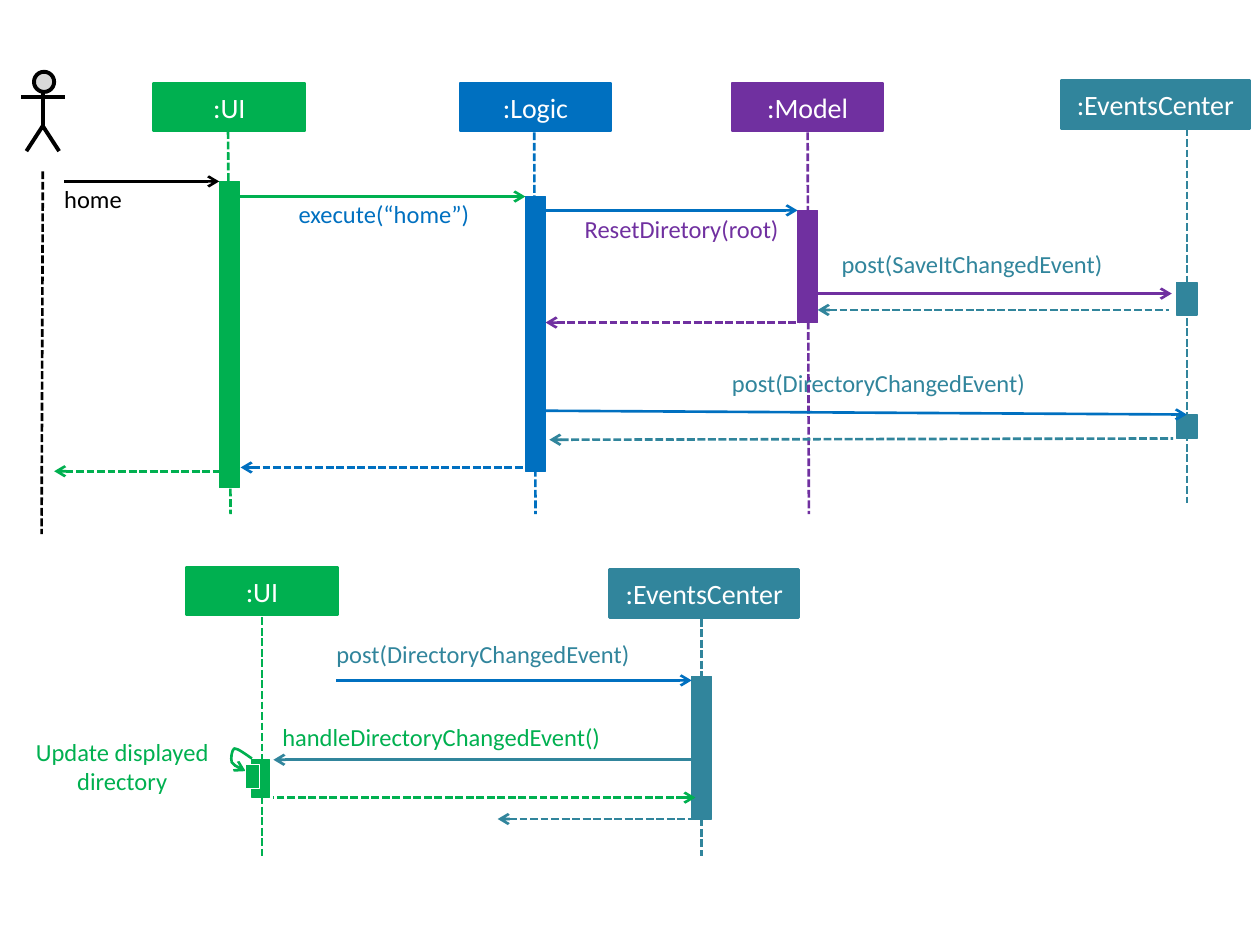
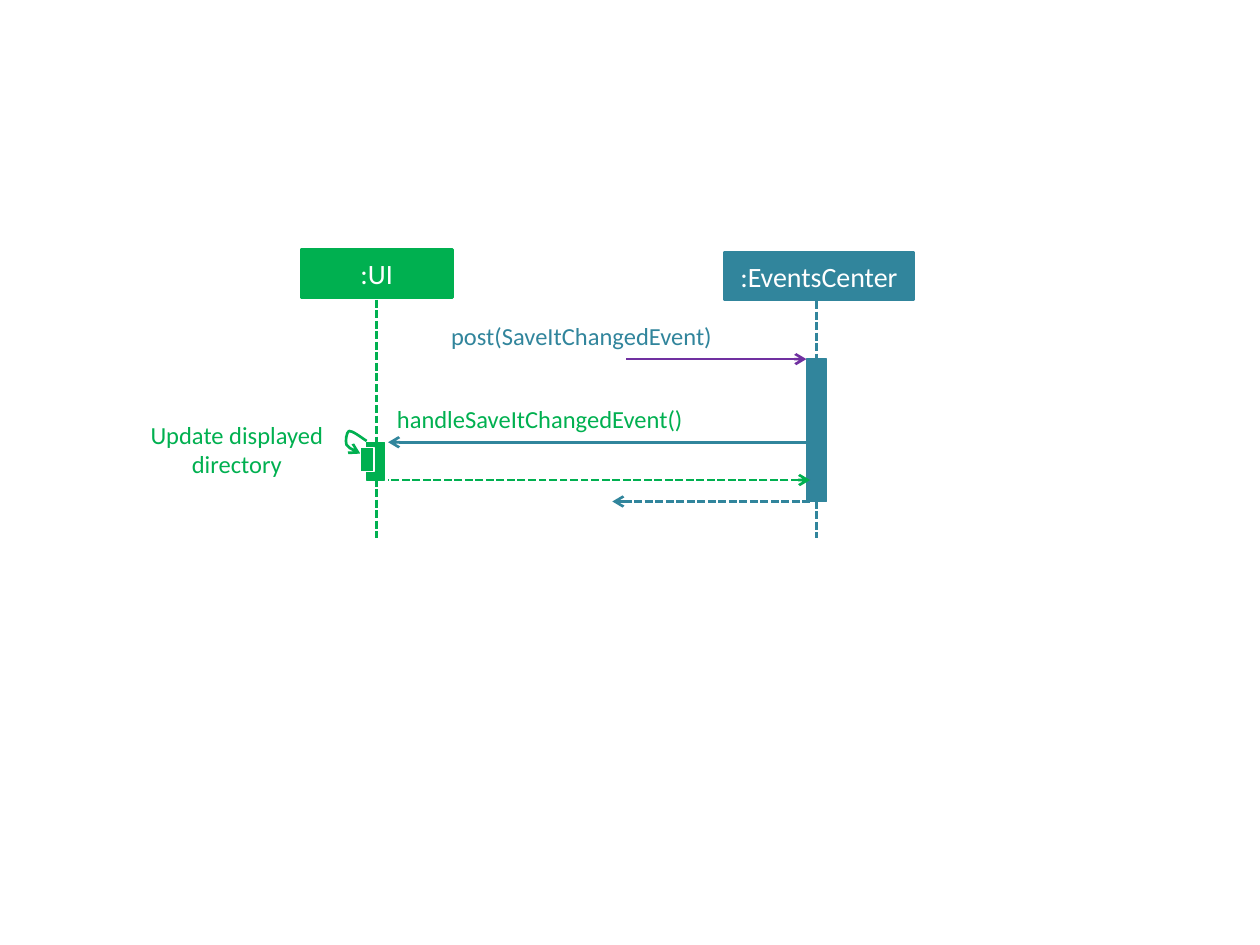
"""Build two slides of sequence diagrams for the home command and its events."""
import pptx
import pptx.dml.color
import pptx.enum.dml
import pptx.enum.shapes
import pptx.enum.text
import pptx.oxml.ns
import pptx.util
from lxml import etree
from pptx.util import Inches

SHAPE = pptx.enum.shapes.MSO_SHAPE
ALIGN = pptx.enum.text.PP_ALIGN
GREEN, BLUE, PURPLE, TEAL = "00B050", "0070C0", "7030A0", "31859C"
BLACK, GREY, WHITE = "000000", "D9D9D9", "FFFFFF"
FONT = "Calibri"
BOX_HEIGHT = 0.38
BAR_WIDTH = 0.16


def rgb(colour):
    """Turn a hex string into a colour."""
    return pptx.dml.color.RGBColor.from_string(colour)


def set_values(target, values):
    """Set every attribute named in a dict."""
    for name, value in values.items():
        setattr(target, name, value)


def add_xml(parent, tag, **attributes):
    """Append a drawing element to a parent element."""
    return etree.SubElement(parent, pptx.oxml.ns.qn(tag), attributes)


def style_line(line, colour, width):
    """Give a line its colour and its width in points."""
    line.color.rgb = rgb(colour)
    line.width = pptx.util.Pt(width)


def write(shape, text, colour, size, alignment, frame_values):
    """Fill a shape with one formatted paragraph."""
    frame = shape.text_frame
    set_values(frame, frame_values)
    paragraph = frame.paragraphs[0]
    paragraph.alignment = alignment
    run = paragraph.add_run()
    run.text = text
    set_values(run.font, {"name": FONT, "size": pptx.util.Pt(size)})
    run.font.color.rgb = rgb(colour)


def add_block(shapes, position, size, colour, outline=None, width=0.75, kind=SHAPE.RECTANGLE):
    """Add a filled shape without a shadow."""
    shape = shapes.add_shape(kind, *map(Inches, position + size))
    shape.shadow.inherit = False
    shape.fill.solid()
    shape.fill.fore_color.rgb = rgb(colour)
    style_line(shape.line, outline or colour, width)
    return shape


def add_line(shapes, colour, start, end, width=1.5, dashed=False, arrow=None):
    """Add a straight line, with an arrowhead if arrow names an end."""
    connector = shapes.add_connector(
        pptx.enum.shapes.MSO_CONNECTOR.STRAIGHT, *map(Inches, start + end))
    style_line(connector.line, colour, width)
    if dashed:
        connector.line.dash_style = pptx.enum.dml.MSO_LINE.SQUARE_DOT
    properties = connector._element.spPr
    if arrow:
        add_xml(properties.find(pptx.oxml.ns.qn("a:ln")), arrow, type="arrow")
    add_xml(properties, "a:effectLst")


def add_call(shapes, colour, start, end):
    """Add a solid message arrow pointing at its end."""
    add_line(shapes, colour, start, end, arrow="a:tailEnd")


def add_reply(shapes, colour, target, source):
    """Add a dashed return arrow pointing back at its target."""
    add_line(shapes, colour, target, source, dashed=True, arrow="a:headEnd")


def add_label(shapes, text, colour, position, width, height=0.24, alignment=ALIGN.LEFT):
    """Add a message label without margins."""
    label = shapes.add_textbox(*map(Inches, position + (width, height)))
    write(label, text, colour, 14, alignment, {
        "word_wrap": True, "margin_left": 0, "margin_right": 0,
        "margin_top": 0, "margin_bottom": 0,
        "auto_size": pptx.enum.text.MSO_AUTO_SIZE.SHAPE_TO_FIT_TEXT})


def add_participant(shapes, name, colour, position, width, lifeline, bars):
    """Add a named box, its lifeline and its activation bars."""
    box = add_block(shapes, position, (width, BOX_HEIGHT), colour, width=1.5)
    write(box, name, WHITE, 16, ALIGN.CENTER,
          {"vertical_anchor": pptx.enum.text.MSO_ANCHOR.MIDDLE})
    add_line(shapes, colour, *lifeline, dashed=True)
    for left, top, bar_width, height in bars:
        add_block(shapes, (left, top), (bar_width, height), colour)


def add_outline(shapes, points, colour, width):
    """Add an open, unfilled outline through the points."""
    corners = [(Inches(across), Inches(down)) for across, down in points]
    builder = shapes.build_freeform(*corners[0])
    builder.add_line_segments(corners[1:], close=False)
    shape = builder.convert_to_shape()
    shape.shadow.inherit = False
    shape.fill.background()
    style_line(shape.line, colour, width)
    return shape


def add_curved_arrow(shapes, points, colour):
    """Add a cubic curve with an arrowhead at its first point."""
    shape = add_outline(shapes, points, colour, 1.5)
    properties = shape._element.spPr
    segments = list(properties.iter(pptx.oxml.ns.qn("a:lnTo")))
    outline = segments[0].getparent()
    for first in range(0, len(segments), 3):
        curve = add_xml(outline, "a:cubicBezTo")
        for segment in segments[first:first + 3]:
            curve.append(segment[0])
            outline.remove(segment)
    add_xml(properties.find(pptx.oxml.ns.qn("a:ln")), "a:headEnd", type="arrow")


def add_actor(slide):
    """Add the stick figure and its lifeline."""
    shapes = slide.shapes.add_group_shape().shapes
    add_block(shapes, (0.27, 0.57), (0.16, 0.16), GREY, BLACK, 2.25,
              SHAPE.FLOWCHART_CONNECTOR)
    add_line(shapes, BLACK, (0.34, 0.73), (0.34, 1.01), 2.25)
    add_outline(shapes, [(0.21, 1.2), (0.34, 1), (0.47, 1.2)], BLACK, 2.25)
    add_line(shapes, BLACK, (0.17, 0.77), (0.52, 0.77), 2.25)
    add_line(slide.shapes, BLACK, (0.34, 1.36), (0.33, 4.24), dashed=True)


def add_home_command(slide):
    """Draw how the home command travels through the components."""
    shapes = slide.shapes
    add_actor(slide)
    participants = [
        (":UI", GREEN, (1.22, 0.66), 1.2, ((1.81, 1.04), (1.83, 4.08)),
         [(1.74, 1.44, BAR_WIDTH, 2.43)]),
        (":Logic", BLUE, (3.65, 0.66), 1.2, ((4.24, 1.05), (4.25, 4.08)),
         [(4.17, 1.56, BAR_WIDTH, 2.18)]),
        (":Model", PURPLE, (5.81, 0.66), 1.2, ((6.41, 1.05), (6.42, 4.08)),
         [(6.33, 1.67, BAR_WIDTH, 0.89)]),
        (":EventsCenter", TEAL, (8.42, 0.64), 1.5, ((9.42, 1.02), (9.42, 3.99)),
         [(9.34, 2.24, BAR_WIDTH, 0.26), (9.34, 3.29, BAR_WIDTH, 0.19)]),
    ]
    for participant in participants:
        add_participant(shapes, *participant)
    calls = [
        (BLACK, (0.51, 1.44), (1.74, 1.44)),
        (GREEN, (1.9, 1.56), (4.17, 1.56)),
        (BLUE, (4.32, 1.67), (6.33, 1.67)),
        (PURPLE, (6.49, 2.33), (9.3, 2.33)),
        (BLUE, (4.33, 3.26), (9.42, 3.29)),
    ]
    for call in calls:
        add_call(shapes, *call)
    replies = [
        (TEAL, (6.49, 2.46), (9.28, 2.46)),
        (PURPLE, (4.33, 2.56), (6.34, 2.56)),
        (TEAL, (4.36, 3.49), (9.31, 3.48)),
        (BLUE, (1.91, 3.71), (4.16, 3.71)),
        (GREEN, (0.43, 3.74), (1.74, 3.74)),
    ]
    for reply in replies:
        add_reply(shapes, *reply)
    labels = [
        ("home", BLACK, (0.51, 1.46), 0.94),
        ("execute(\u201chome\u201d)", BLUE, (2.37, 1.58), 1.56),
        ("ResetDiretory(root)", PURPLE, (4.64, 1.7), 1.56),
        ("post(SaveItChangedEvent)", TEAL, (6.68, 1.98), 2.67),
        ("post(DirectoryChangedEvent)", TEAL, (5.81, 2.92), 2.67),
    ]
    for label in labels:
        add_label(shapes, *label)


def add_event_handling(slide, event, left, top, post_colour, post_start, post_drop):
    """Draw how an event reaches the UI, from the corner of the UI box."""
    def at(across, down):
        """Place a point relative to the corner of the UI box."""
        return left + across, top + down

    shapes = slide.shapes
    add_label(shapes, f"post({event})", TEAL, at(1.19, 0.57), 2.97)
    add_participant(shapes, ":EventsCenter", TEAL, at(3.36, 0.02), 1.5,
                    (at(4.09, 0.41), at(4.09, 2.29)),
                    [at(4.01, 0.87) + (BAR_WIDTH, 1.13)])
    add_participant(shapes, ":UI", GREEN, at(0, 0), 1.2,
                    (at(0.6, 0.4), at(0.6, 2.29)),
                    [at(0.52, 1.53) + (0.14, 0.3)])
    add_call(shapes, post_colour, at(post_start, post_drop), at(4.01, post_drop))
    add_call(shapes, TEAL, at(4.04, 1.53), at(0.69, 1.53))
    add_reply(shapes, GREEN, at(4.04, 1.83), at(0.69, 1.83))
    add_reply(shapes, TEAL, at(2.47, 2), at(4.05, 2))
    add_label(shapes, f"handle{event}()", GREEN, at(0.76, 1.23), 2.91)
    self_call = shapes.add_group_shape().shapes
    curve = [(0.47, 1.62), (0.42, 1.6), (0.37, 1.57), (0.36, 1.55), (0.35, 1.52),
             (0.36, 1.45), (0.38, 1.44), (0.41, 1.44), (0.46, 1.48), (0.52, 1.52)]
    add_curved_arrow(self_call, [at(*point) for point in curve], GREEN)
    add_block(self_call, at(0.47, 1.57), (0.11, 0.19), GREEN, WHITE)
    add_label(shapes, "Update displayed directory", GREEN, at(-1.27, 1.35),
              1.52, 0.47, ALIGN.CENTER)


def main():
    """Build and save the presentation."""
    presentation = pptx.Presentation()
    set_values(presentation, {"slide_width": Inches(10), "slide_height": Inches(7.5)})
    blank = presentation.slide_layouts[6]
    command_slide, save_slide = (presentation.slides.add_slide(blank) for _ in range(2))
    add_home_command(command_slide)
    add_event_handling(command_slide, "DirectoryChangedEvent", 1.48, 4.5, BLUE, 1.19, 0.9)
    add_event_handling(save_slide, "SaveItChangedEvent", 2.39, 1.98, PURPLE, 2.58, 0.87)
    presentation.save("out.pptx")


main()
